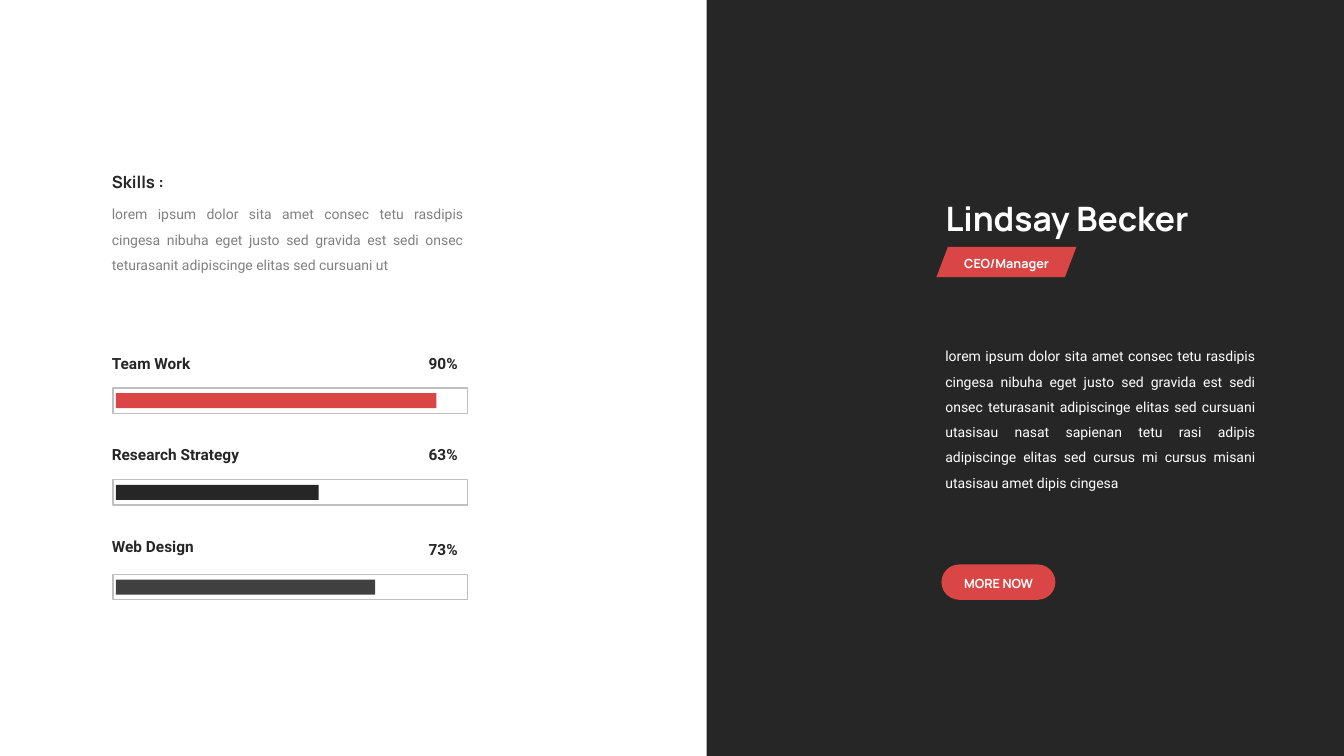
from dataclasses import dataclass
from pptx import Presentation
from pptx.dml.color import RGBColor
from pptx.enum import shapes, text
from pptx.util import Pt

KIND = shapes.MSO_SHAPE
ALIGN = text.PP_ALIGN


@dataclass(frozen=True)
class Theme:
    # Colours
    dark: str = "262626"
    red: str = "DA4646"
    slate: str = "404040"
    gray: str = "808080"
    rule: str = "BFBFBF"
    white: str = "FFFFFF"
    # Fonts
    head: str = "Manrope"
    body: str = "Roboto"
    # Type sizes
    name: int = 24
    skill: int = 12
    label: int = 11
    copy: int = 10
    tag: int = 9


def write(box, words, size, color, font, bold=False, align=ALIGN.LEFT,
          space=1.0, wrap=True):
    """Put one formatted paragraph into a shape."""
    frame = box.text_frame
    frame.word_wrap = wrap
    frame.auto_size = text.MSO_AUTO_SIZE.NONE
    frame.vertical_anchor = text.MSO_ANCHOR.TOP
    para = frame.paragraphs[0]
    para.alignment = align
    para.line_spacing = space
    run = para.add_run()
    run.text = words
    run.font.size = Pt(size)
    run.font.name = font
    run.font.bold = bold
    run.font.color.rgb = RGBColor.from_string(color)


class Deck:
    def __init__(self, theme):
        self.theme = theme
        self.file = Presentation()
        self.file.slide_width, self.file.slide_height = Pt(960), Pt(540)
        self.slide = self.file.slides.add_slide(self.file.slide_layouts[5])

    def title(self, words, x, y, w, h, **style):
        box = self.slide.shapes.title
        box.left, box.top, box.width, box.height = map(Pt, (x, y, w, h))
        write(box, words, **style)

    def label(self, words, x, y, w, h, **style):
        box = self.slide.shapes.add_textbox(*map(Pt, (x, y, w, h)))
        write(box, words, **style)

    def shape(self, kind, x, y, w, h, fill=None, line=None, bend=None):
        item = self.slide.shapes.add_shape(kind, *map(Pt, (x, y, w, h)))
        item.shadow.inherit = False
        if fill:
            item.fill.solid()
            item.fill.fore_color.rgb = RGBColor.from_string(fill)
        else:
            item.fill.background()
        if line:
            item.line.color.rgb = RGBColor.from_string(line)
            item.line.width = Pt(1)
        else:
            item.line.fill.background()
        if bend is not None:
            item.adjustments[0] = bend
        return item

    def panel(self, x, y, w, h, fill):
        item = self.shape(KIND.RECTANGLE, x, y, w, h, fill)
        item.element.getparent().insert(2, item.element)  # behind the title

    def meter(self, name, share, top, bar, width, fill):
        look = dict(size=self.theme.label, color=self.theme.dark,
                    font=self.theme.body, bold=True)
        self.label(name, 72.8, top, 141, 20.6, **look)
        self.label(share, 290.9, bar - 34.6, 43.2, 27.4,
                   align=ALIGN.RIGHT, space=1.5, **look)
        self.shape(KIND.RECTANGLE, 82.8, bar + 3.6, width, 10.8, fill)
        self.shape(KIND.RECTANGLE, 80.6, bar, 253.4, 18, line=self.theme.rule)


def main():
    theme = Theme()
    deck = Deck(theme)
    deck.panel(504.7, 0, 455.3, 540, theme.dark)

    # Skills
    deck.label("Skills :", 72.8, 111.6, 265, 28.8, size=theme.skill,
               color=theme.dark, font=theme.head, bold=True, space=1.5)
    deck.label("lorem ipsum dolor sita amet consec tetu rasdipis cingesa "
               "nibuha eget justo sed gravida est sedi onsec teturasanit "
               "adipiscinge elitas sed cursuani ut",
               72.8, 137.5, 265, 62, size=theme.copy, color=theme.gray,
               font=theme.body, align=ALIGN.JUSTIFY, space=1.5)

    # Skill meters
    skills = [("Team Work", "90%", 277.2, 229, theme.red),
              ("Research Strategy", "63%", 342.7, 144.8, theme.dark),
              ("Web Design", "73%", 410.4, 185.2, theme.slate)]
    for row, (name, share, bar, width, fill) in enumerate(skills):
        deck.meter(name, share, 249.2 + 65.5 * row, bar, width, fill)

    # Name and role
    tag = dict(size=theme.tag, color=theme.white, font=theme.head,
               bold=True, align=ALIGN.CENTER, wrap=False)
    deck.title("Lindsay Becker", 668.2, 137.5, 235.4, 36, size=theme.name,
               color=theme.white, font=theme.head, bold=True)
    deck.shape(KIND.PARALLELOGRAM, 668.9, 176.4, 100, 21.6, theme.red,
               bend=0.38)
    deck.label("CEO/Manager", 678.3, 179.3, 81.4, 18, **tag)

    # Profile
    deck.label("lorem ipsum dolor sita amet consec tetu rasdipis cingesa "
               "nibuha eget justo sed gravida est sedi onsec teturasanit "
               "adipiscinge elitas sed cursuani utasisau nasat sapienan tetu "
               "rasi adipis adipiscinge elitas sed cursus mi cursus misani "
               "utasisau amet dipis cingesa",
               668.2, 239, 235.4, 116.6, size=theme.copy, color=theme.white,
               font=theme.body, align=ALIGN.JUSTIFY, space=1.5)

    # Button
    deck.shape(KIND.ROUNDED_RECTANGLE, 672.5, 403.2, 81.4, 25.2, theme.red,
               bend=0.5)
    deck.label("MORE NOW", 679, 407.5, 68.4, 18, **tag)

    deck.file.save("out.pptx")


if __name__ == "__main__":
    main()
